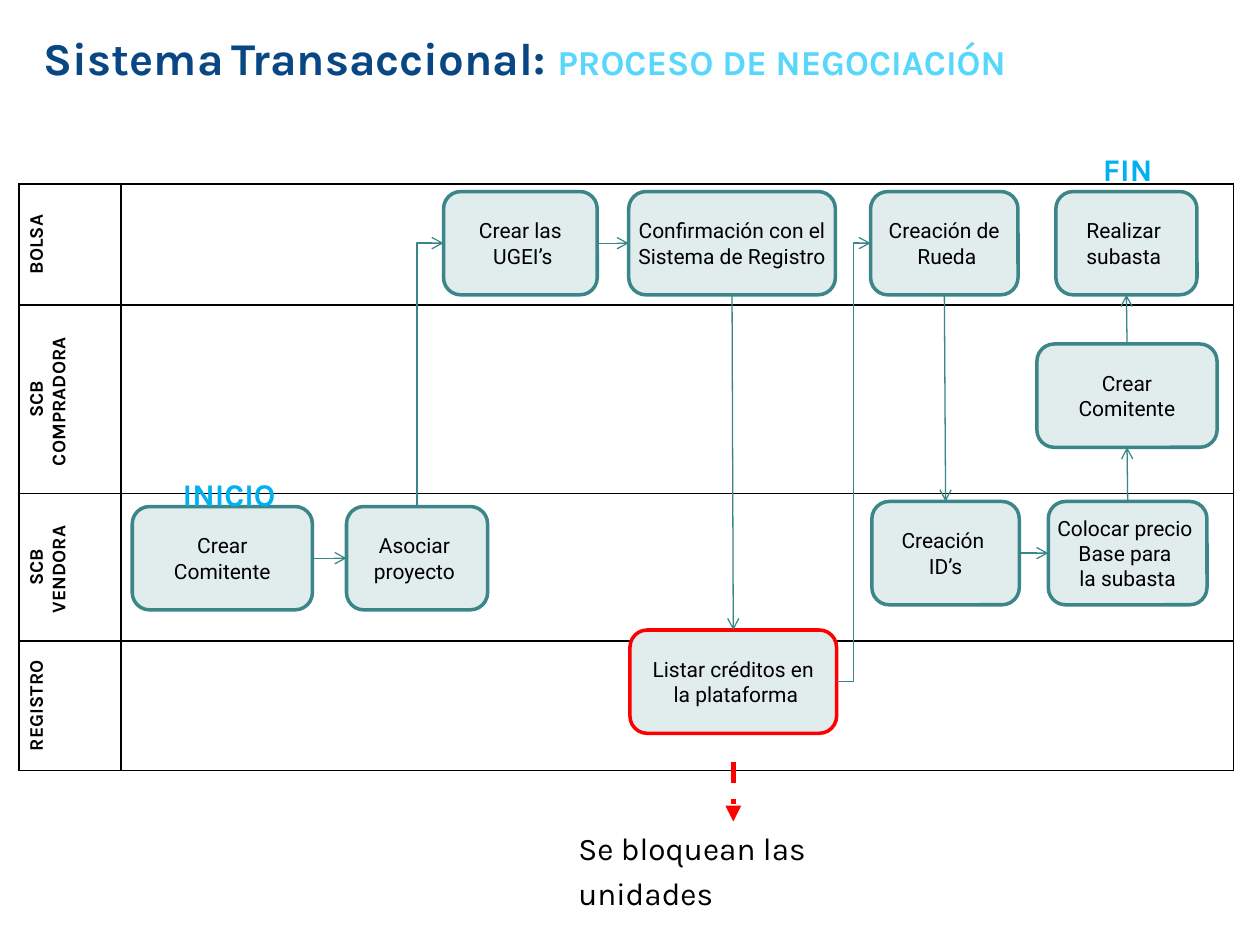
from lxml import etree
from pptx import Presentation
from pptx.dml.color import RGBColor
from pptx.enum.dml import MSO_LINE
from pptx.enum.shapes import MSO_CONNECTOR, MSO_SHAPE
from pptx.enum.text import MSO_ANCHOR, MSO_AUTO_SIZE, PP_ALIGN
from pptx.oxml.ns import qn
from pptx.util import Inches, Pt

LEFT, CENTER, JUSTIFY = PP_ALIGN.LEFT, PP_ALIGN.CENTER, PP_ALIGN.JUSTIFY
MIDDLE = MSO_ANCHOR.MIDDLE
GROW = MSO_AUTO_SIZE.SHAPE_TO_FIT_TEXT
ROUNDED = MSO_SHAPE.ROUNDED_RECTANGLE
STRAIGHT, ELBOW = MSO_CONNECTOR.STRAIGHT, MSO_CONNECTOR.ELBOW
DASH_DOT = MSO_LINE.DASH_DOT
TOP, WEST, BOTTOM, EAST = range(4)

COLORS = {
    "black": "000000", "step": "E1ECED", "border": "3C8689", "link": "398588",
    "red": "FF0000", "mark": "00B0F0", "navy": "094784", "sky": "57D7FC",
}

TITLE = [("Sistema", 26, "navy"), (" ", 18, "navy"),
         ("Transaccional: ", 26, "navy"), ("PROCESO DE NEGOCIACIÓN", 20, "sky")]
TITLE_AREA = (0.25, 0.19, 8.29, 0.54)

LANES = [("BOLSA", 0.96), ("SCB COMPRADORA ", 1.31), ("SCB VENDORA ", 1.16), ("REGISTRO", 1.03)]
LANE_LEFT, LANE_TOP = 0.15, 1.46
LANE_COLUMNS = (0.81, 8.83)

STEP_HEIGHT = 0.82
STEP_ROWS = {"exchange": 1.52, "buyer": 2.73, "offer": 3.98, "seller": 4.02, "registry": 5.0}
STEPS = {
    "client": ("seller", 1.05, 1.43, ["Crear Comitente"], "border"),
    "project": ("seller", 2.75, 1.12, ["Asociar ", "proyecto "], "border"),
    "units": ("exchange", 3.52, 1.22, ["Crear las", " UGEI’s"], "border"),
    "confirm": ("exchange", 4.99, 1.64, ["Confirmación con el", "Sistema de Registro"], "border"),
    "listing": ("registry", 5.0, 1.64, ["Listar créditos en", " la plataforma"], "red"),
    "round": ("exchange", 6.91, 1.17, ["Creación de", " Rueda"], "border"),
    "ids": ("offer", 6.92, 1.17, ["Creación ", " ID’s "], "border"),
    "price": ("offer", 8.32, 1.26, ["Colocar precio ", "Base para ", "la subasta"], "border"),
    "buyer": ("buyer", 8.23, 1.43, ["Crear Comitente"], "border"),
    "auction": ("exchange", 8.38, 1.12, ["Realizar ", "subasta "], "border"),
}
LINKS = [
    ("client", EAST, "project", WEST, STRAIGHT),
    ("units", EAST, "confirm", WEST, STRAIGHT),
    ("confirm", BOTTOM, "listing", TOP, STRAIGHT),
    ("listing", EAST, "round", WEST, ELBOW),
    ("round", BOTTOM, "ids", TOP, STRAIGHT),
    ("ids", EAST, "price", WEST, STRAIGHT),
    ("price", TOP, "buyer", BOTTOM, STRAIGHT),
    ("buyer", TOP, "auction", BOTTOM, STRAIGHT),
]
LABELS = [
    ("INICIO", (1.45, 3.71, 0.88, 0.33), LEFT, "mark", True),
    ("FIN", (8.51, 1.13, 0.88, 0.33), CENTER, "mark", True),
    ("Se bloquean las unidades", (4.59, 6.52, 2.76, 0.33), LEFT, "black", False),
]


def rgb(name):
    return RGBColor.from_string(COLORS[name])


def apply(target, values):
    for name, value in values.items():
        setattr(target, name, value)


def set_margins(frame, size):
    apply(frame, {f"margin_{side}": Inches(size) for side in ("left", "top", "right", "bottom")})


def add_span(para, text, size, font, color, bold=False):
    span = para.add_run()
    span.text = text
    apply(span.font, {"size": Pt(size), "name": font, "bold": bold})
    span.font.color.rgb = rgb(color)


def add_text_box(page, area, margin=None):
    frame = page.shapes.add_textbox(*map(Inches, area)).text_frame
    apply(frame, {"word_wrap": True, "auto_size": GROW})
    if margin is not None:
        set_margins(frame, margin)
    return frame


def add_border(properties, side):
    line = etree.SubElement(properties, qn(f"a:{side}"), w=str(Pt(1)))
    fill = etree.SubElement(line, qn("a:solidFill"))
    etree.SubElement(fill, qn("a:srgbClr"), val=COLORS["black"])


def add_lanes(page):
    heights = [height for _, height in LANES]
    area = (LANE_LEFT, LANE_TOP, sum(LANE_COLUMNS), sum(heights))
    table = page.shapes.add_table(len(LANES), len(LANE_COLUMNS), *map(Inches, area)).table
    apply(table, {"first_row": False, "horz_banding": False})
    for column, width in zip(table.columns, LANE_COLUMNS):
        column.width = Inches(width)
    for row, (name, height) in zip(table.rows, LANES):
        row.height = Inches(height)
        for cell in row.cells:
            properties = cell._tc.get_or_add_tcPr()
            for side in ("lnL", "lnR", "lnT", "lnB"):
                add_border(properties, side)
            cell.fill.background()
        head = row.cells[0]
        head.vertical_anchor = MIDDLE
        head._tc.tcPr.set("vert", "vert270")
        para = head.text_frame.paragraphs[0]
        para.alignment = CENTER
        add_span(para, name, 11, "Karla", "black", True)


def add_step(page, row, left, width, lines, border):
    area = (left, STEP_ROWS[row], width, STEP_HEIGHT)
    box = page.shapes.add_shape(ROUNDED, *map(Inches, area))
    box.shadow.inherit = False
    box.fill.solid()
    box.fill.fore_color.rgb = rgb("step")
    box.line.color.rgb = rgb(border)
    box.line.width = Pt(2)
    frame = box.text_frame
    apply(frame, {"word_wrap": len(lines) == 1, "vertical_anchor": MIDDLE})
    set_margins(frame, 0.25)
    for index, line in enumerate(lines):
        para = frame.add_paragraph() if index else frame.paragraphs[0]
        para.alignment = CENTER
        add_span(para, line, 12, "Roboto", "black")
    return box


def add_arrow(page, kind, start, end, color="link", width=0.75, head="arrow", dash=None):
    arrow = page.shapes.add_connector(kind, *start, *end)
    arrow.line.color.rgb = rgb(color)
    apply(arrow.line, {"width": Pt(width), "dash_style": dash})
    etree.SubElement(arrow.line._get_or_add_ln(), qn("a:tailEnd"), type=head)
    etree.SubElement(arrow._element.spPr, qn("a:effectLst"))
    return arrow


def add_corner(page, source, target):
    x1, y1 = source.left + source.width // 2, source.top
    x2, y2 = target.left, target.top + target.height // 2
    middle_x, middle_y = (x1 + x2) // 2, (y1 + y2) // 2
    half_run, half_rise = (x2 - x1) // 2, (y1 - y2) // 2
    start = (middle_x + half_rise, middle_y + half_run)
    end = (middle_x - half_rise, middle_y - half_run)
    properties = add_arrow(page, ELBOW, start, end)._element.spPr
    properties.find(qn("a:prstGeom")).set("prst", "bentConnector2")
    properties.find(qn("a:xfrm")).set("rot", str(90 * 60000))


def main():
    deck = Presentation()
    apply(deck, {"slide_width": Inches(10), "slide_height": Inches(7.5)})
    page = deck.slides.add_slide(deck.slide_layouts[6])
    add_lanes(page)
    boxes = {name: add_step(page, *step) for name, step in STEPS.items()}
    for source, exit_site, target, entry_site, kind in LINKS:
        arrow = add_arrow(page, kind, (0, 0), (0, 0))
        arrow.begin_connect(boxes[source], exit_site)
        arrow.end_connect(boxes[target], entry_site)
    add_corner(page, boxes["project"], boxes["units"])
    add_arrow(page, STRAIGHT, (Inches(5.82), Inches(6.05)), (Inches(5.82), Inches(6.52)),
              "red", 3, "triangle", DASH_DOT)
    for text, area, align, color, bold in LABELS:
        para = add_text_box(page, area, 0).paragraphs[0]
        apply(para, {"alignment": align, "line_spacing": 1.2})
        add_span(para, text, 18, "Karla", color, bold)
    para = add_text_box(page, TITLE_AREA).paragraphs[0]
    para.alignment = JUSTIFY
    for text, size, color in TITLE:
        add_span(para, text, size, "Karla", color, True)
    deck.save("out.pptx")


if __name__ == "__main__":
    main()
